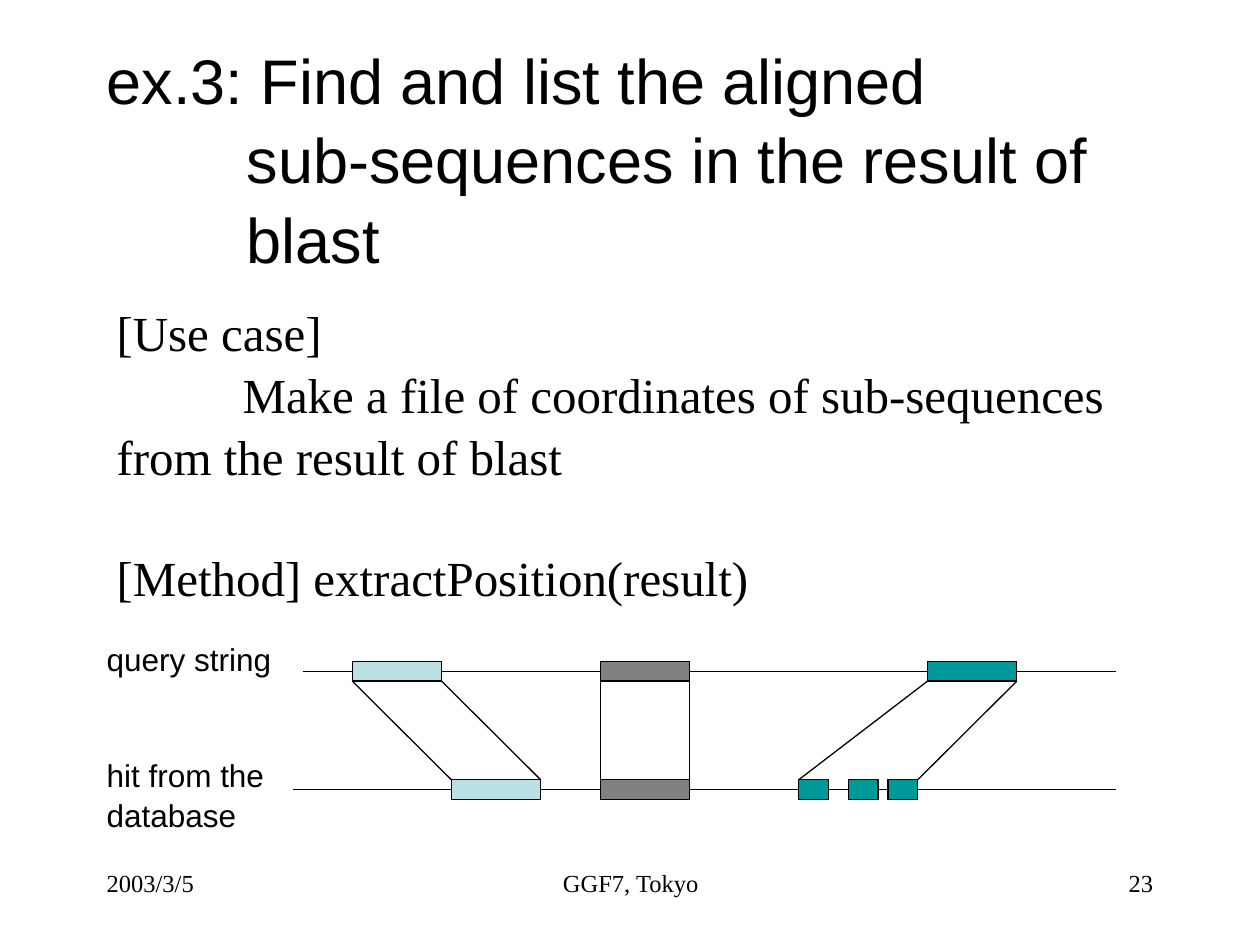
from dataclasses import dataclass

from lxml.etree import SubElement
from pptx import Presentation
from pptx.dml.color import RGBColor
from pptx.enum.shapes import MSO_CONNECTOR, MSO_SHAPE
from pptx.enum.text import MSO_ANCHOR, MSO_AUTO_SIZE, PP_ALIGN
from pptx.oxml.ns import qn
from pptx.util import Cm, Pt


@dataclass(frozen=True)
class Theme:
    black: RGBColor = RGBColor(0, 0, 0)
    pale: RGBColor = RGBColor(0xBB, 0xE0, 0xE3)
    gray: RGBColor = RGBColor(0x80, 0x80, 0x80)
    teal: RGBColor = RGBColor(0, 0x99, 0x99)
    sans: str = "Arial"
    serif: str = "Times New Roman"
    title: int = 36
    body: int = 28
    label: int = 18
    foot: int = 14
    rule: float = 0.75
    lead: float = 1.05


@dataclass(frozen=True)
class Para:
    text: str
    left: float = 0
    first: float = 0
    before: float = 0


@dataclass(frozen=True)
class Box:
    left: float
    top: float
    width: float
    height: float
    font: str
    size: int
    paras: tuple[Para, ...]
    align: PP_ALIGN = PP_ALIGN.LEFT


@dataclass(frozen=True)
class Match:
    """A query block and the hit blocks aligned with it."""
    color: RGBColor
    query: float
    hits: tuple[float, ...]
    width: float


THEME = Theme()
QUERY, HIT = 13.53, 15.92  # heights of the two sequence lines
WIDE, THICK = 1.8, 0.4
END = 22.5

TITLE = Box(1.9, 1.12, 22, 4.57, THEME.sans, THEME.title, (
    Para("ex.3: Find and list the aligned"),
    Para("sub-sequences in the result of", left=2.82),
    Para("blast", left=2.82),
))
BOXES = (
    Box(2.1, 5.92, 21.2, 6.2, THEME.serif, THEME.body, (
        Para("[Use case]"),
        Para("Make a file of coordinates of sub-sequences "
             "from the result of blast", first=2.54),
        Para("[Method] extractPosition(result)", before=33.7),
    )),
    Box(1.9, 12.73, 4.2, 4.11, THEME.sans, THEME.label, (
        Para("query string"),
        Para("hit from the database", before=44),
    )),
    Box(8.69, 17.35, 8.05, 1.27, THEME.serif, THEME.foot,
        (Para("GGF7, Tokyo"),), PP_ALIGN.CENTER),
    Box(18.2, 17.35, 5.3, 1.27, THEME.serif, THEME.foot,
        (Para("23"),), PP_ALIGN.RIGHT),
    Box(1.9, 17.35, 5.3, 1.27, THEME.serif, THEME.foot,
        (Para("2003/3/5"),)),
)
MATCHES = (
    Match(THEME.pale, 7.1, (9.1,), WIDE),
    Match(THEME.gray, 12.1, (12.1,), WIDE),
    Match(THEME.teal, 18.7, (16.1, 17.1, 17.9), 0.6),
)


def write(shape, box: Box) -> None:
    """Place a shape and fill it with the paragraphs of the box."""
    shape.left, shape.top = Cm(box.left), Cm(box.top)
    shape.width, shape.height = Cm(box.width), Cm(box.height)
    frame = shape.text_frame
    frame.word_wrap = True
    frame.auto_size = MSO_AUTO_SIZE.NONE
    for i, item in enumerate(box.paras):
        para = frame.add_paragraph() if i else frame.paragraphs[0]
        para.alignment = box.align
        para.line_spacing = THEME.lead
        para.space_before = Pt(item.before)
        props = para._p.get_or_add_pPr()
        props.set("marL", str(Cm(item.left)))
        props.set("indent", str(Cm(item.first)))
        run = para.add_run()
        run.text = item.text
        run.font.name = box.font
        run.font.size = Pt(box.size)
        run.font.color.rgb = THEME.black


def line(slide, x1: float, y1: float, x2: float, y2: float) -> None:
    link = slide.shapes.add_connector(
        MSO_CONNECTOR.STRAIGHT, Cm(x1), Cm(y1), Cm(x2), Cm(y2))
    link.line.color.rgb = THEME.black
    link.line.width = Pt(THEME.rule)
    SubElement(link._element.spPr, qn("a:effectLst"))


def block(slide, left: float, mid: float, width: float,
          color: RGBColor) -> None:
    rect = slide.shapes.add_shape(
        MSO_SHAPE.RECTANGLE, Cm(left), Cm(mid - THICK / 2),
        Cm(width), Cm(THICK))
    rect.shadow.inherit = False
    rect.fill.solid()
    rect.fill.fore_color.rgb = color
    rect.line.color.rgb = THEME.black
    rect.line.width = Pt(THEME.rule)


def align(slide, match: Match) -> None:
    """Draw the blocks of a match and join their outer corners."""
    block(slide, match.query, QUERY, WIDE, match.color)
    for left in match.hits:
        block(slide, left, HIT, match.width, match.color)
    low, high = QUERY + THICK / 2, HIT - THICK / 2
    line(slide, match.query, low, match.hits[0], high)
    line(slide, match.query + WIDE, low,
         match.hits[-1] + match.width, high)


def main() -> None:
    deck = Presentation()
    deck.slide_width, deck.slide_height = Cm(25.4), Cm(19.05)
    slide = deck.slides.add_slide(deck.slide_layouts[5])
    title = slide.shapes.title
    write(title, TITLE)
    title.text_frame.vertical_anchor = MSO_ANCHOR.BOTTOM
    for box in BOXES:
        shape = slide.shapes.add_textbox(0, 0, 0, 0)
        write(shape, box)
    line(slide, 6.1, QUERY, END, QUERY)
    line(slide, 5.9, HIT, END, HIT)
    for match in MATCHES:
        align(slide, match)
    deck.save("out.pptx")


if __name__ == "__main__":
    main()
